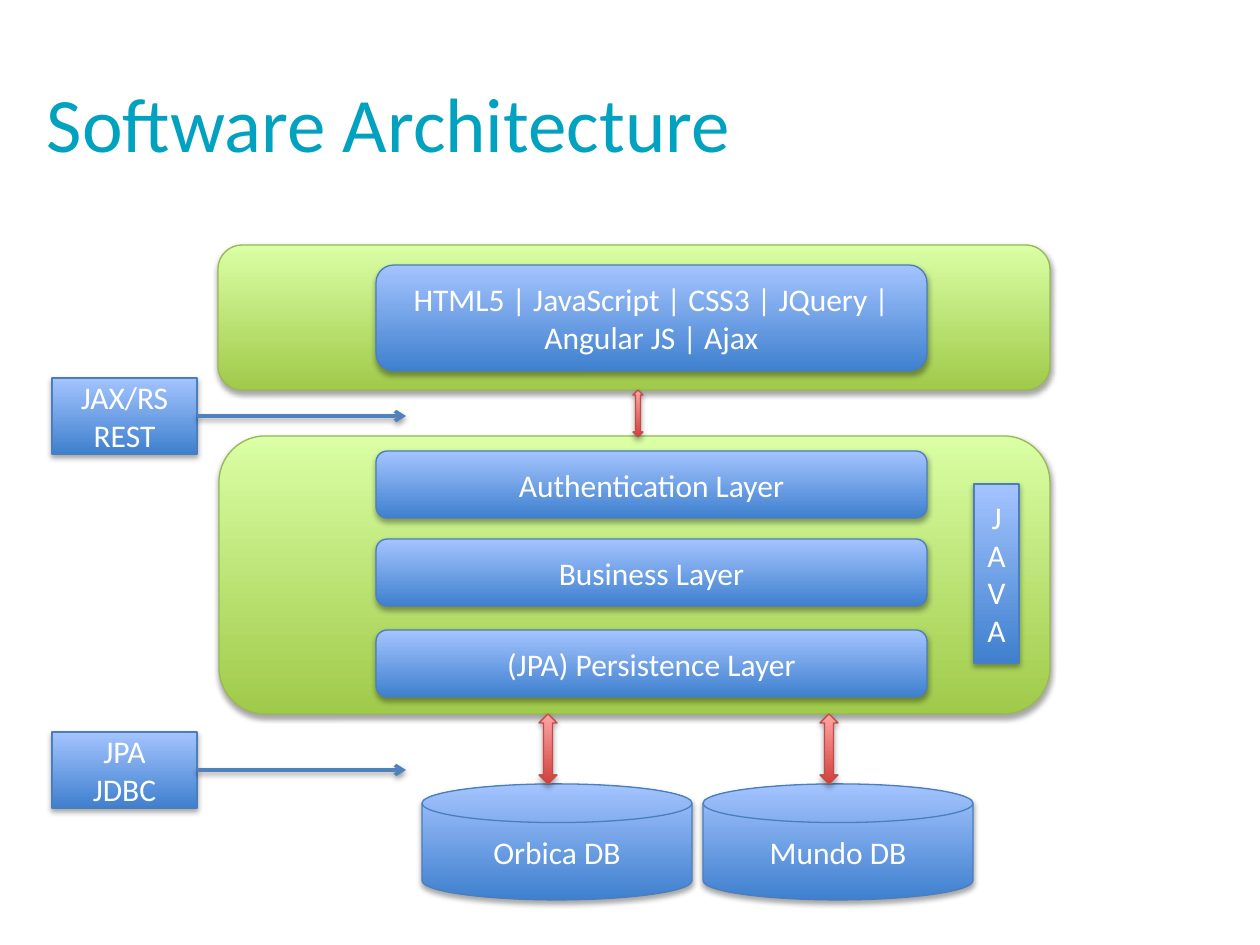
"""Builds the software architecture slide with its layers, databases and links."""
from dataclasses import dataclass

from lxml.etree import SubElement
from pptx import Presentation
from pptx.dml.color import RGBColor
from pptx.enum.shapes import MSO_CONNECTOR as Link, MSO_SHAPE as Form
from pptx.enum.text import MSO_ANCHOR as Anchor, PP_ALIGN as Align
from pptx.oxml.ns import qn
from pptx.util import Emu, Pt

PX_PER_INCH = 126
RIGHT_SIDE = 3
COLORS = {
    "title": "00A2BF", "text": "FFFFFF", "link": "4F81BD", "shadow": "000000",
    "green_low": "A0CA4A", "green_high": "DAFFA5", "green_line": "98B955",
    "blue_low": "3F80CE", "blue_high": "A4C4FF", "blue_line": "4B7EBC",
    "red_low": "D1403C", "red_high": "FFA6A5", "red_line": "BF4C48",
}


@dataclass(frozen=True)
class Block:
    form: Form
    hue: str
    x: int
    y: int
    width: int
    height: int
    text: str = ""


def px(length: int) -> Emu:
    return Emu(round(length * 914400 / PX_PER_INCH))


def color(name: str) -> RGBColor:
    return RGBColor.from_string(COLORS[name])


def write(frame, text: str, *, size: int = 18, ink: str = "text", align=Align.CENTER,
          anchor=Anchor.MIDDLE, spacing: float = 1.0) -> None:
    frame.word_wrap = True
    frame.vertical_anchor = anchor
    for index, line in enumerate(text.split("\n")):
        paragraph = frame.add_paragraph() if index else frame.paragraphs[0]
        paragraph.alignment = align
        paragraph.line_spacing = spacing
        run = paragraph.add_run()
        run.text = line
        run.font.name = "Calibri"
        run.font.size = Pt(size)
        run.font.color.rgb = color(ink)


def cast_shadow(properties, distance: int, opacity: int) -> None:
    effects = properties.find(qn("a:effectLst"))
    if effects is None:
        effects = SubElement(properties, qn("a:effectLst"))
    shadow = SubElement(effects, qn("a:outerShdw"), blurRad="40000", dist=str(distance),
                        dir="5400000", rotWithShape="0")
    tint = SubElement(shadow, qn("a:srgbClr"), val=COLORS["shadow"])
    SubElement(tint, qn("a:alpha"), val=str(opacity * 1000))


def draw_block(slide, block: Block):
    shape = slide.shapes.add_shape(block.form, px(block.x), px(block.y),
                                   px(block.width), px(block.height))
    shape.fill.gradient()
    shape.fill.gradient_angle = 90
    for stop, level in zip(shape.fill.gradient_stops, ("low", "high")):
        stop.color.rgb = color(f"{block.hue}_{level}")
    shape.line.color.rgb = color(f"{block.hue}_line")
    shape.line.width = Pt(0.75)
    shape.shadow.inherit = False
    cast_shadow(shape.element.spPr, 23000, 35)
    if block.text:
        write(shape.text_frame, block.text)
    return shape


def draw_link(slide, source, end_x: int) -> None:
    middle = source.top + source.height // 2
    link = slide.shapes.add_connector(Link.STRAIGHT, source.left + source.width, middle,
                                      px(end_x), middle)
    link.begin_connect(source, RIGHT_SIDE)
    link.line.color.rgb = color("link")
    link.line.width = Pt(2)
    SubElement(link.line._get_or_add_ln(), qn("a:tailEnd"), type="arrow")
    cast_shadow(link.element.spPr, 20000, 38)


def main() -> None:
    deck = Presentation()
    deck.slide_width, deck.slide_height = px(1260), px(945)
    slide = deck.slides.add_slide(deck.slide_layouts[6])

    title = slide.shapes.add_textbox(px(32), px(53), px(1183), px(122)).text_frame
    title.margin_left, title.margin_right = px(15), px(14)
    title.margin_top = title.margin_bottom = px(8)
    write(title, "Software Architecture", size=44, ink="title", align=Align.LEFT,
          anchor=Anchor.BOTTOM, spacing=0.8)

    tiers = [Block(Form.ROUNDED_RECTANGLE, "green", 218, 245, 832, 145),
             Block(Form.ROUNDED_RECTANGLE, "green", 219, 436, 831, 278)]
    layers = [Block(Form.ROUNDED_RECTANGLE, "blue", 376, y, 551, height, text)
              for y, height, text in (
                  (265, 106, "HTML5 | JavaScript | CSS3 | JQuery | Angular JS | Ajax"),
                  (451, 67, "Authentication Layer"),
                  (539, 67, "Business Layer"),
                  (630, 67, "(JPA) Persistence Layer"))]
    language = Block(Form.RECTANGLE, "blue", 974, 484, 45, 179, "J A V A")
    databases = [Block(Form.FLOWCHART_MAGNETIC_DISK, "blue", x, 784, 270, 116, text)
                 for x, text in ((422, "Orbica DB"), (703, "Mundo DB"))]
    exchanges = [Block(Form.UP_DOWN_ARROW, "red", 633, 390, 10, 47)]
    exchanges += [Block(Form.UP_DOWN_ARROW, "red", database.x + 117, 714, 18, 70)
                  for database in databases]
    for block in (*tiers, *layers, language, *databases, *exchanges):
        draw_block(slide, block)

    for y, text in ((378, "JAX/RS\nREST"), (732, "JPA\nJDBC")):
        interface = draw_block(slide, Block(Form.RECTANGLE, "blue", 52, y, 145, 76, text))
        draw_link(slide, interface, 406)

    deck.save("out.pptx")


if __name__ == "__main__":
    main()
